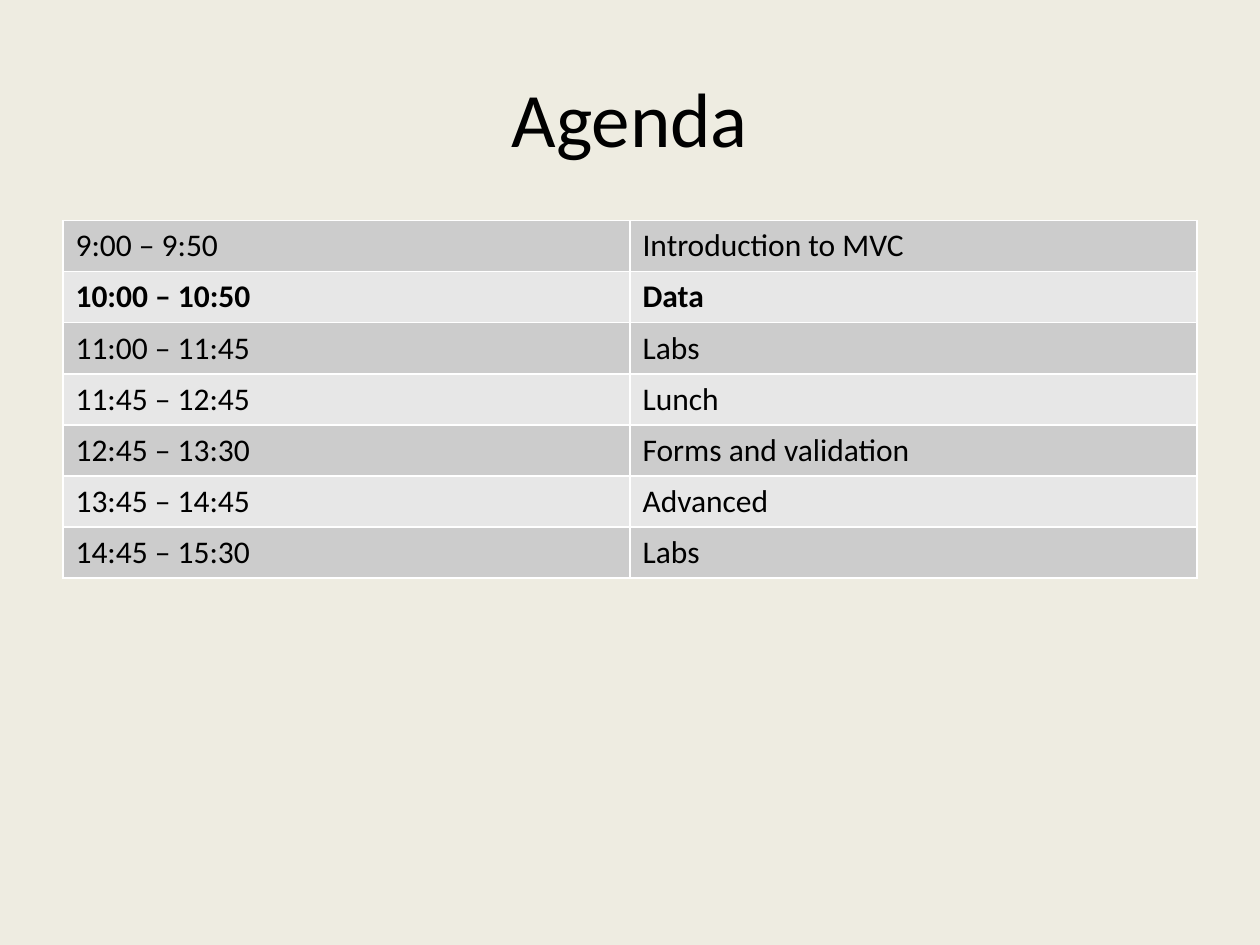
from lxml.etree import SubElement
from pptx import Presentation
from pptx.dml.color import RGBColor
from pptx.enum.text import MSO_ANCHOR as Anchor, PP_ALIGN as Align
from pptx.oxml.ns import qn
from pptx.util import Pt

FONT = "Calibri"
BACKGROUND, TEXT, BORDER = "EEECE1", "000000", "FFFFFF"
BANDS = ("CCCCCC", "E7E7E7")
MARGIN, CONTENT_WIDTH = 36, 648
ROW_HEIGHT = 29.2

AGENDA = [
    ("9:00 – 9:50", "Introduction to MVC"),
    ("10:00 – 10:50", "Data"),
    ("11:00 – 11:45", "Labs"),
    ("11:45 – 12:45", "Lunch"),
    ("12:45 – 13:30", "Forms and validation"),
    ("13:45 – 14:45", "Advanced"),
    ("14:45 – 15:30", "Labs"),
]
CURRENT_ROW = 1


def paint(fill, color):
    fill.solid()
    fill.fore_color.rgb = RGBColor.from_string(color)


def add_span(para, text, size, bold=False):
    span = para.add_run()
    span.text = text
    span.font.name = FONT
    span.font.size = Pt(size)
    span.font.bold = bold
    paint(span.font.fill, TEXT)


def add_title(page, text):
    box = page.shapes.add_textbox(Pt(MARGIN), Pt(21.6), Pt(CONTENT_WIDTH), Pt(90))
    frame = box.text_frame
    frame.word_wrap = True
    frame.vertical_anchor = Anchor.MIDDLE
    para = frame.paragraphs[0]
    para.alignment = Align.CENTER
    add_span(para, text, 44)


def set_borders(cell, color, width):
    properties = cell._tc.get_or_add_tcPr()
    for side in ("L", "R", "T", "B"):
        line = SubElement(properties, qn(f"a:ln{side}"), w=str(Pt(width)))
        fill = SubElement(line, qn("a:solidFill"))
        SubElement(fill, qn("a:srgbClr"), val=color)


def add_agenda(page, entries):
    columns = len(entries[0])
    frame = page.shapes.add_table(
        len(entries), columns, Pt(MARGIN), Pt(126),
        Pt(CONTENT_WIDTH), Pt(ROW_HEIGHT * len(entries)))
    table = frame.table
    table.first_row = False
    for column in table.columns:
        column.width = Pt(CONTENT_WIDTH / columns)
    for index, entry in enumerate(entries):
        table.rows[index].height = Pt(ROW_HEIGHT)
        for cell, text in zip(table.rows[index].cells, entry):
            # Borders must precede the fill in the cell properties
            set_borders(cell, BORDER, 1)
            paint(cell.fill, BANDS[index % len(BANDS)])
            add_span(cell.text_frame.paragraphs[0], text, 18, index == CURRENT_ROW)


def main():
    # Page
    deck = Presentation()
    deck.slide_width, deck.slide_height = Pt(720), Pt(540)
    page = deck.slides.add_slide(deck.slide_layouts[6])
    paint(page.background.fill, BACKGROUND)

    # Content
    add_title(page, "Agenda")
    add_agenda(page, AGENDA)
    deck.save("out.pptx")


main()
